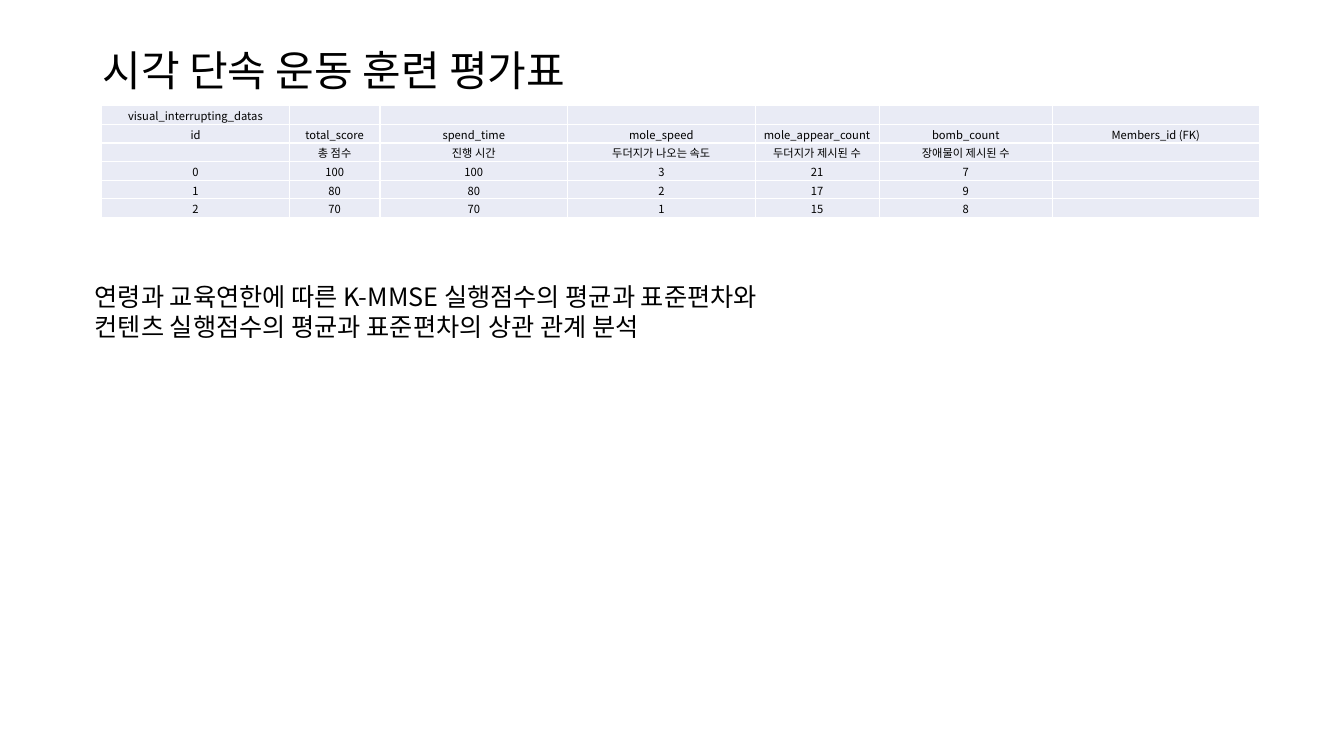
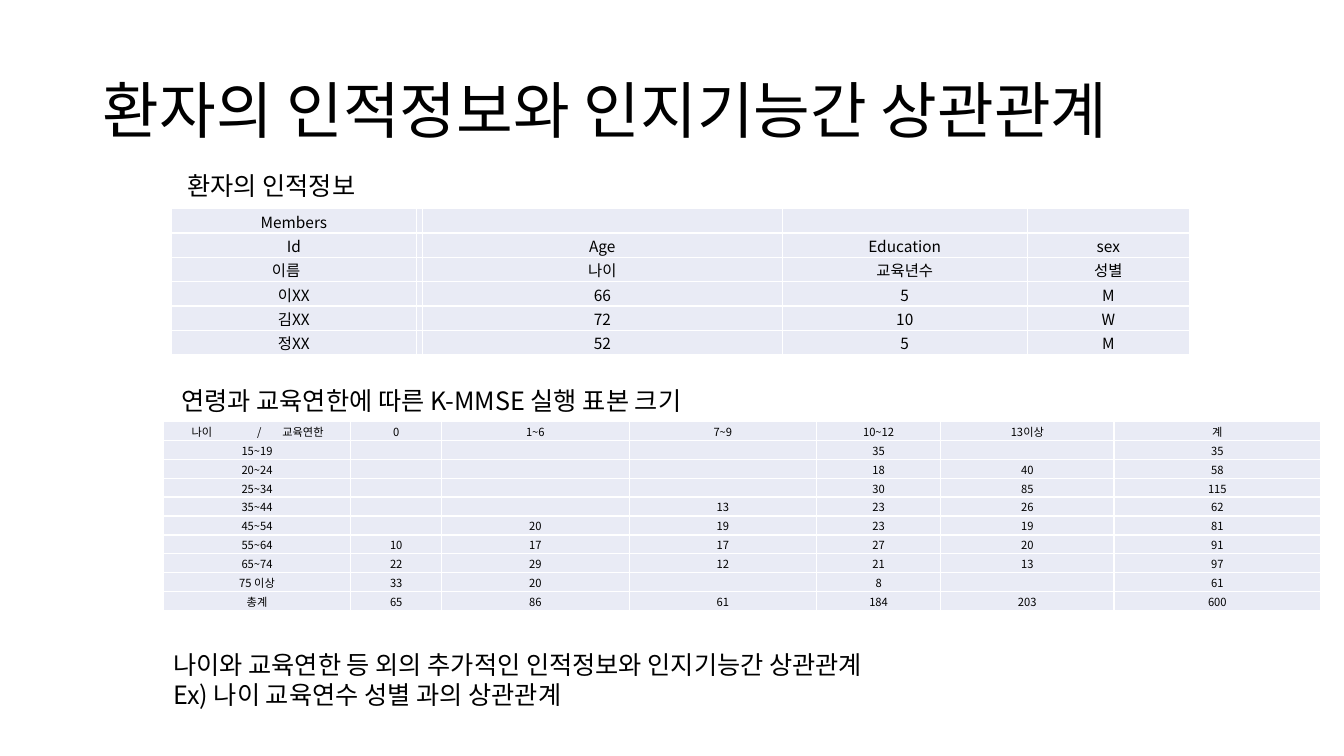
import pptx
import pptx.util
import pptx.dml.color
import pptx.enum.text
import pptx.oxml
import pptx.oxml.ns

Inches, Pt = pptx.util.Inches, pptx.util.Pt
RGB = pptx.dml.color.RGBColor
ALIGN = pptx.enum.text.PP_ALIGN
ANCHOR = pptx.enum.text.MSO_ANCHOR
AUTO = pptx.enum.text.MSO_AUTO_SIZE

FONT = "Noto Sans CJK KR"
COLORS = {"text": "000000", "cell": "E9EBF5", "border": "FFFFFF"}
WIDE_COLS = [1.86, 0.9, 1.86, 1.86, 1.23, 1.72, 2.05]
AGE_HEADER_TABS = [0.27, 0.92, 1.17]

TRAINING_ROWS = [
    ["visual_interrupting_datas", "", "", "", "", "", ""],
    ["id", "total_score", "spend_time", "mole_speed", "mole_appear_count", "bomb_count", "Members_id (FK)"],
    ["", "총 점수", "진행 시간", "두더지가 나오는 속도", "두더지가 제시된 수", "장애물이 제시된 수", ""],
    ["0", "100", "100", "3", "21", "7", ""],
    ["1", "80", "80", "2", "17", "9", ""],
    ["2", "70", "70", "1", "15", "8", ""],
]
MEMBER_ROWS = [
    ["Members", "", "", "", ""],
    ["Id", "", "Age", "Education", "sex"],
    ["이름\u3000", "", "나이", "교육년수", "성별"],
    ["이XX", "", "66", "5", "M"],
    ["김XX", "", "72", "10", "W"],
    ["정XX", "", "52", "5", "M"],
]
SAMPLE_ROWS = [
    ["\t나이\t/\t교육연한", "0", "1~6", "7~9", "10~12", "13이상", "계"],
    ["15~19", "", "", "", "35", "", "35"],
    ["20~24", "", "", "", "18", "40", "58"],
    ["25~34", "", "", "", "30", "85", "115"],
    ["35~44", "", "", "13", "23", "26", "62"],
    ["45~54", "", "20", "19", "23", "19", "81"],
    ["55~64", "10", "17", "17", "27", "20", "91"],
    ["65~74", "22", "29", "12", "21", "13", "97"],
    ["75 이상", "33", "20", "", "8", "", "61"],
    ["총계", "65", "86", "61", "184", "203", "600"],
]
SLIDES = [
    {
        "title": ("시각 단속 운동 훈련 평가표", (0.92, 0.4, 9.13, 0.65), 30),
        "tables": [(TRAINING_ROWS, (1.01, 1.05), WIDE_COLS, 1.11, 8)],
        "notes": [
            (["연령과 교육연한에 따른 K-MMSE 실행점수의 평균과 표준편차와 ",
              "컨텐츠 실행점수의 평균과 표준편차의 상관 관계 분석"], (0.84, 2.74, 7.62, 0.71)),
        ],
    },
    {
        "title": ("환자의 인적정보와 인지기능간 상관관계", (0.92, 0.4, 11.5, 1.45), 44),
        "tables": [
            (MEMBER_ROWS, (1.7, 2.07), [2.43, 0.04, 3.57, 2.43, 1.61], 1.45, 11),
            (SAMPLE_ROWS, (1.62, 4.18), WIDE_COLS, 1.88, 8),
        ],
        "notes": [
            (["환자의 인적정보"], (1.76, 1.64, 2.06, 0.4)),
            (["연령과 교육연한에 따른 K-MMSE 실행 표본 크기"], (1.7, 3.77, 5.76, 0.4)),
            (["나이와 교육연한 등 외의 추가적인 인적정보와 인지기능간 상관관계",
              "Ex) 나이 교육연수 성별 과의 상관관계"], (1.62, 6.39, 7.9, 0.71)),
        ],
    },
]


def add_xml(parent, tag, **attrs):
    element = pptx.oxml.parse_xml(f"<a:{tag} {pptx.oxml.ns.nsdecls('a')}/>")
    for name, value in attrs.items():
        element.set(name, str(value))
    parent.append(element)
    return element


def add_run(p, text, size):
    r = p.add_run()
    r.text = text
    r.font.size = Pt(size)
    r.font.name = FONT
    r.font.color.rgb = RGB.from_string(COLORS["text"])
    add_xml(r.font._element, "ea", typeface=FONT)


def add_text(s, lines, box, size):
    sp = s.shapes.add_textbox(*map(Inches, box))
    tf = sp.text_frame
    for i, line in enumerate(lines):
        p = tf.add_paragraph() if i else tf.paragraphs[0]
        add_run(p, line, size)
    return tf


def add_title(s, text, box, size):
    tf = add_text(s, [text], box, size)
    tf.word_wrap = True
    tf.vertical_anchor = ANCHOR.MIDDLE
    tf.paragraphs[0].line_spacing = 0.9


def add_note(s, lines, box):
    tf = add_text(s, lines, box, 18)
    tf.word_wrap = False
    tf.auto_size = AUTO.SHAPE_TO_FIT_TEXT


def set_tabs(p, stops):
    p.alignment = ALIGN.LEFT
    tabs = add_xml(p._p.get_or_add_pPr(), "tabLst")
    for stop in stops:
        add_xml(tabs, "tab", pos=Inches(stop), algn="l")


def fill_cell(cell, text, size):
    cell.margin_left = cell.margin_top = cell.margin_right = Inches(0.01)
    cell.margin_bottom = 0
    cell.vertical_anchor = ANCHOR.MIDDLE
    tcPr = cell._tc.get_or_add_tcPr()
    for side in ("lnL", "lnR", "lnT", "lnB"):
        line = add_xml(tcPr, side, w=Pt(1))
        add_xml(add_xml(line, "solidFill"), "srgbClr", val=COLORS["border"])
    cell.fill.solid()
    cell.fill.fore_color.rgb = RGB.from_string(COLORS["cell"])
    p = cell.text_frame.paragraphs[0]
    p.alignment = ALIGN.CENTER
    if "\t" in text:
        set_tabs(p, AGE_HEADER_TABS)
    if text:
        add_run(p, text, size)
    else:
        add_xml(p._p, "endParaRPr", sz=size * 100)


def add_grid(s, rows, corner, cols, height, size):
    box = (*corner, sum(cols), height)
    table = s.shapes.add_table(len(rows), len(cols), *map(Inches, box)).table
    table.first_row = table.horz_banding = False
    for column, width in zip(table.columns, cols):
        column.width = Inches(width)
    for row, texts in zip(table.rows, rows):
        row.height = Inches(height / len(rows))
        for cell, text in zip(row.cells, texts):
            fill_cell(cell, text, size)


prs = pptx.Presentation()
prs.slide_width, prs.slide_height = Inches(13.33), Inches(7.5)
for content in SLIDES:
    s = prs.slides.add_slide(prs.slide_layouts[6])
    add_title(s, *content["title"])
    for table in content["tables"]:
        add_grid(s, *table)
    for note in content["notes"]:
        add_note(s, *note)
prs.save("out.pptx")
